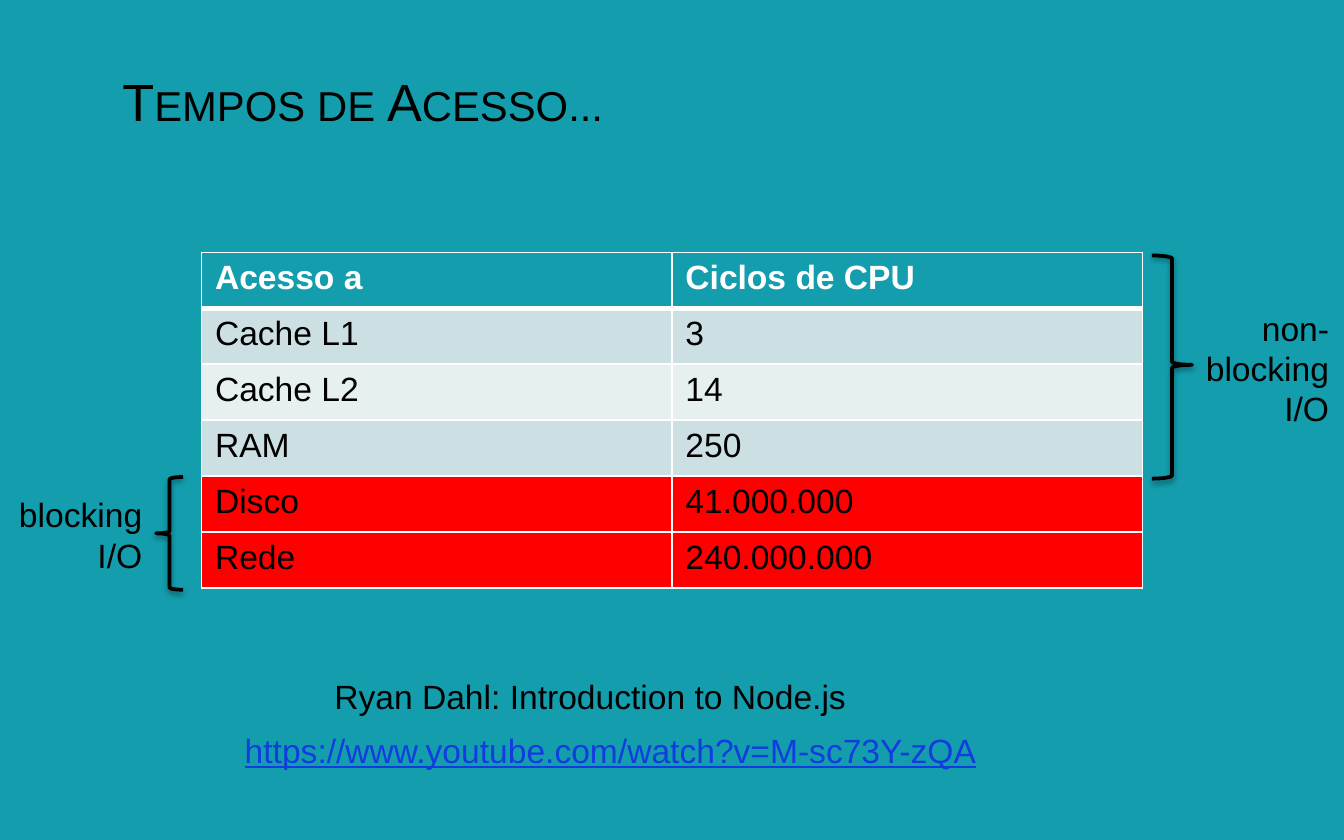
from lxml import etree
from pptx import Presentation
from pptx.dml.color import RGBColor
from pptx.enum.shapes import MSO_SHAPE as SHAPE
from pptx.enum.text import MSO_ANCHOR as ANCHOR, MSO_AUTO_SIZE as AUTO, PP_ALIGN as ALIGN
from pptx.oxml import parse_xml
from pptx.oxml.ns import nsdecls, qn
from pptx.util import Cm, Pt

C = {"teal": "149EAD", "black": "000000", "white": "FFFFFF", "link": "103CE0",
     "band": "CCDFE3", "light": "E7F0F1", "red": "FF0000"}


def write(tf, text, size=18, color="black", bold=False, underline=False, align=ALIGN.LEFT):
    for i, line in enumerate(text.split("\n")):
        p = tf.paragraphs[0] if i == 0 else tf.add_paragraph()
        p.alignment = align
        r = p.add_run()
        r.text = line
        r.font.name = "Arial"
        r.font.size = Pt(size)
        r.font.bold = bold
        r.font.underline = underline
        r.font.color.rgb = RGBColor.from_string(C[color])
    return r


prs = Presentation()
prs.slide_width, prs.slide_height = Cm(25.4), Cm(15.88)
s = prs.slides.add_slide(prs.slide_layouts[5])
s.background.fill.solid()
s.background.fill.fore_color.rgb = RGBColor.from_string(C["teal"])

title = s.shapes.title
title.left, title.top, title.width, title.height = Cm(2.06), Cm(1.3), Cm(17.91), Cm(1.19)
tf = title.text_frame
tf.auto_size = AUTO.NONE
tf.vertical_anchor = ANCHOR.MIDDLE
r = write(tf, "Tempos de Acesso...", size=28)
r.font._element.set("cap", "small")

rows = [
    ("Acesso a", "Ciclos de CPU", "teal"),
    ("Cache L1", "3", "band"),
    ("Cache L2", "14", "light"),
    ("RAM", "250", "band"),
    ("Disco", "41.000.000", "red"),
    ("Rede", "240.000.000", "red"),
]
table = s.shapes.add_table(len(rows), 2, Cm(3.81), Cm(4.77), Cm(17.78), Cm(6.35)).table
for i, (*texts, fill) in enumerate(rows):
    for j, text in enumerate(texts):
        cell = table.cell(i, j)
        write(cell.text_frame, text, color="black" if i else "white", bold=i == 0)
        tcPr = cell._tc.get_or_add_tcPr()
        for side in "LRTB":
            thick = (i, side) in ((0, "B"), (1, "T"))
            ln = etree.SubElement(tcPr, qn(f"a:ln{side}"), w=str(Pt(3 if thick else 1)))
            paint = etree.SubElement(ln, qn("a:solidFill"))
            etree.SubElement(paint, qn("a:srgbClr"), val=C["white"])
        cell.fill.solid()
        cell.fill.fore_color.rgb = RGBColor.from_string(C[fill])

labels = [
    ("Ryan Dahl: Introduction to Node.js", 5.59, 12.65, 11.13, 1.02, True, {"align": ALIGN.CENTER}),
    ("https://www.youtube.com/watch?v=M-sc73Y-zQA", 4.01, 13.67, 15.06, 1.02, True,
     {"align": ALIGN.CENTER, "color": "link", "underline": True}),
    ("blocking\nI/O", 0.1, 9.22, 2.84, 1.78, False, {"align": ALIGN.RIGHT}),
    ("non-\nblocking\nI/O", 22.53, 5.69, 2.84, 2.54, False, {"align": ALIGN.RIGHT}),
]
for text, x, y, w, h, wrap, style in labels:
    tf = s.shapes.add_textbox(Cm(x), Cm(y), Cm(w), Cm(h)).text_frame
    tf.word_wrap = wrap
    tf.auto_size = AUTO.SHAPE_TO_FIT_TEXT
    write(tf, text, **style)

braces = [
    (SHAPE.LEFT_BRACE, 2.95, 9.02, 0.51, 2.13, 0.5),
    (SHAPE.RIGHT_BRACE, 21.77, 4.83, 0.76, 4.22, 0.49),
]
for kind, x, y, w, h, middle in braces:
    sp = s.shapes.add_shape(kind, Cm(x), Cm(y), Cm(w), Cm(h))
    sp.adjustments[0], sp.adjustments[1] = 0.08, middle
    sp.fill.background()
    sp.line.color.rgb = RGBColor.from_string(C["black"])
    sp.line.width = Pt(2)
    sp.shadow.inherit = False
    effects = sp._element.spPr.find(qn("a:effectLst"))
    effects.append(parse_xml(
        f'<a:outerShdw {nsdecls("a")} blurRad="{Pt(3.1)}" dist="{Pt(1.6)}" dir="5400000" rotWithShape="0">'
        f'<a:srgbClr val="{C["black"]}"><a:alpha val="38000"/></a:srgbClr></a:outerShdw>'))

prs.save("out.pptx")
